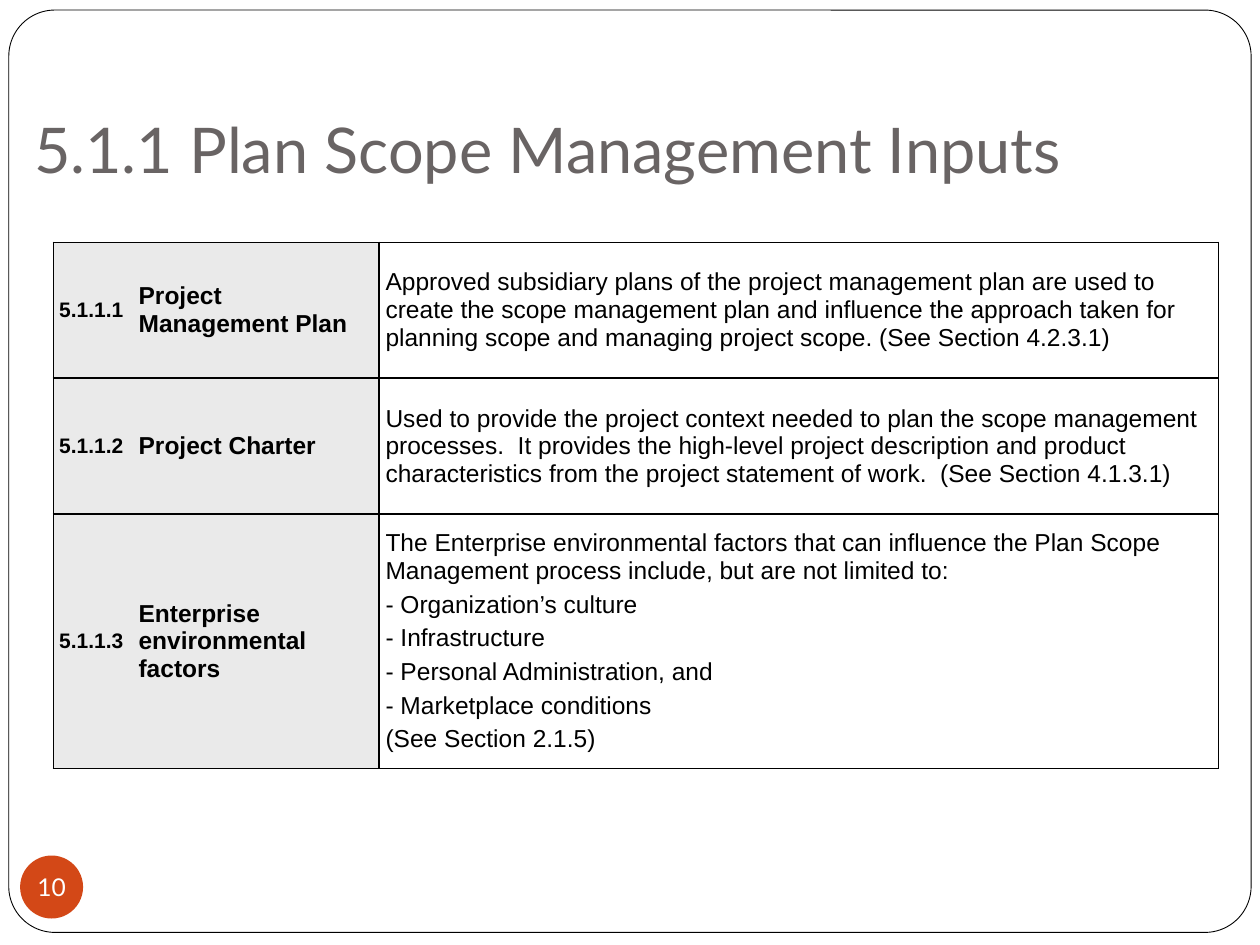
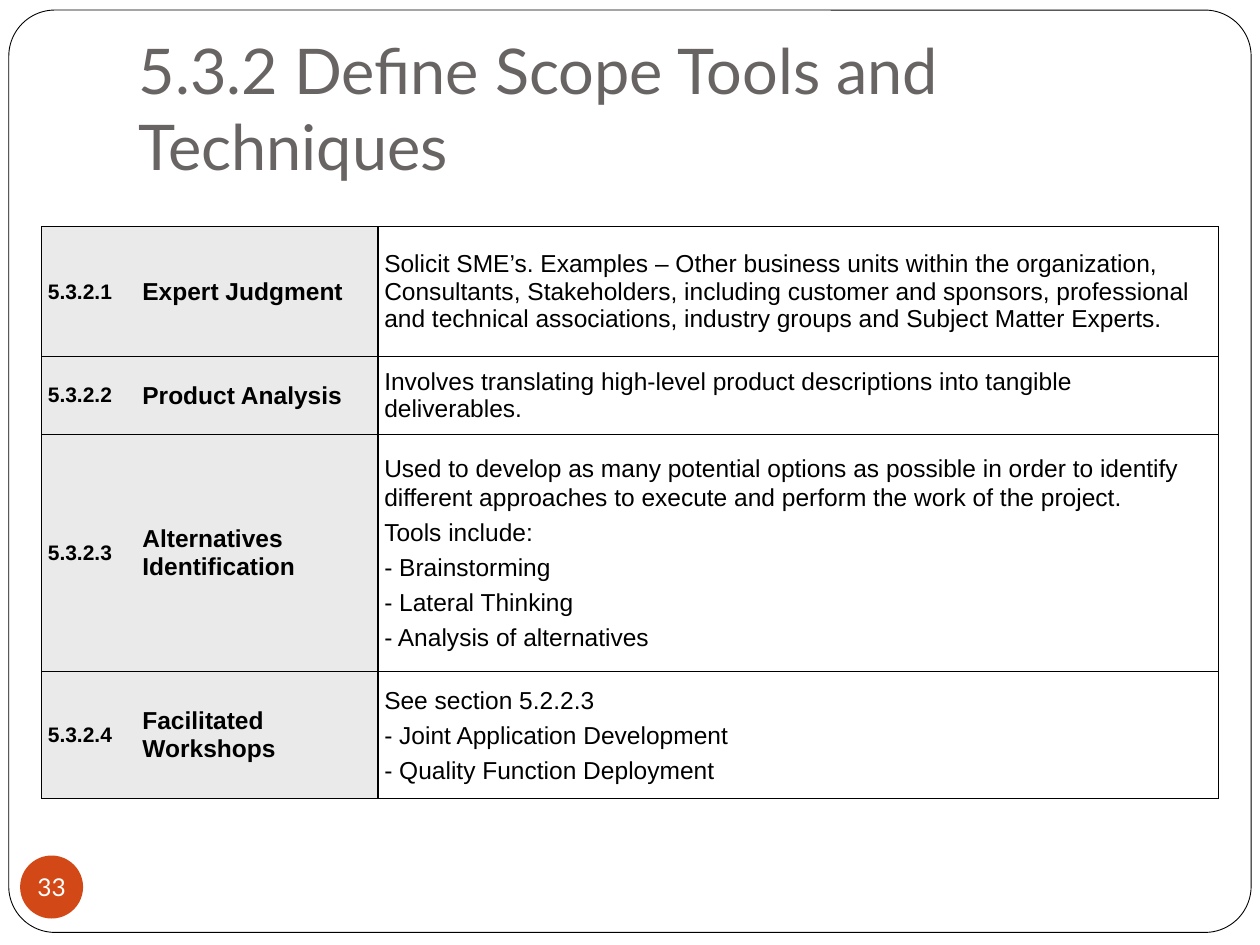
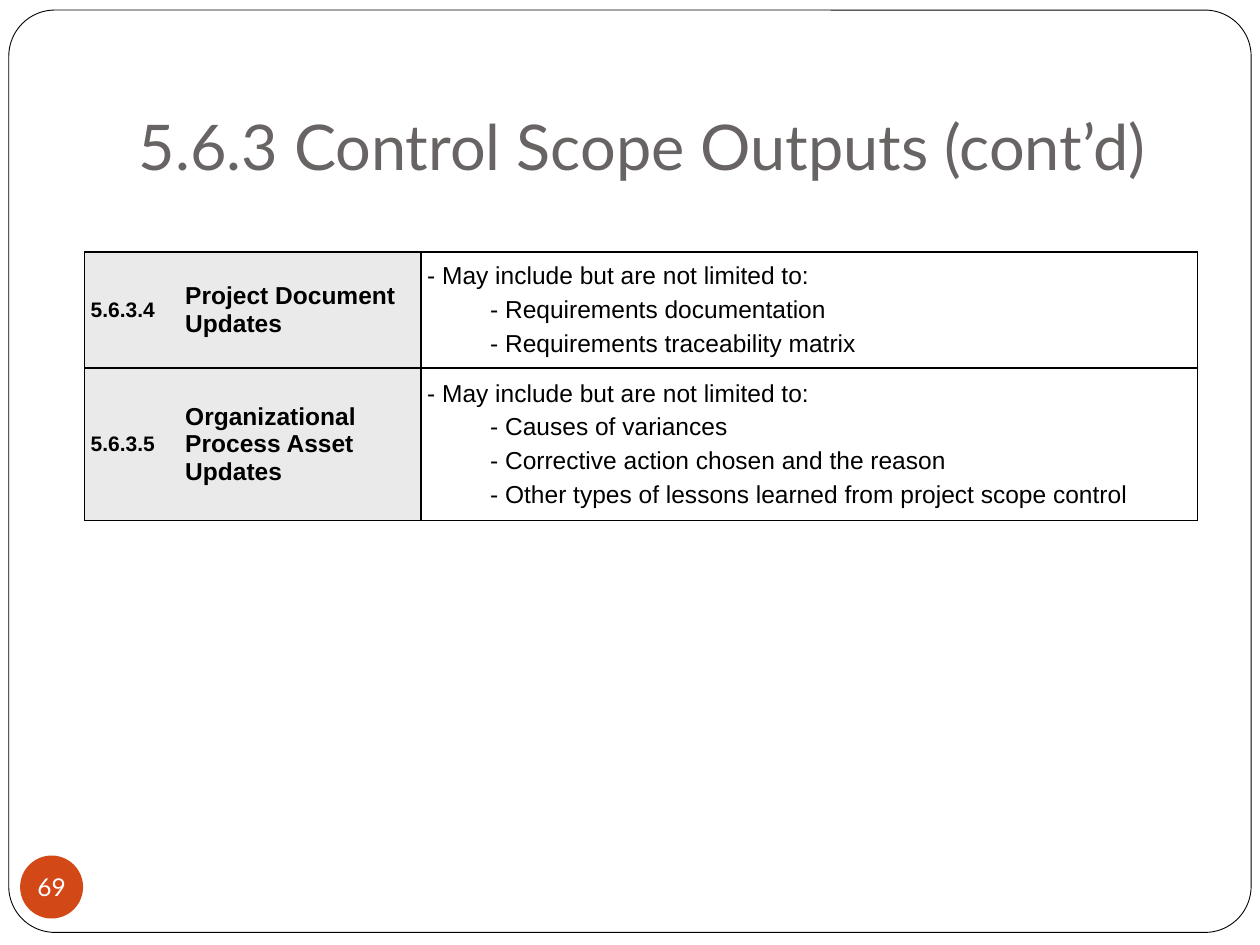
import pptx
import pptx.dml.color
import pptx.enum.shapes
import pptx.enum.text
import pptx.oxml
import pptx.oxml.ns
import pptx.util

RGBColor = pptx.dml.color.RGBColor
BLACK = RGBColor(0x00, 0x00, 0x00)
WHITE = RGBColor(0xFF, 0xFF, 0xFF)
TITLE_GREY = RGBColor(0x69, 0x64, 0x64)
LABEL_GREY = RGBColor(0xEA, 0xEA, 0xEA)
BADGE_ORANGE = RGBColor(0xD3, 0x48, 0x17)

HEAD_FONT = "Lato"
BODY_FONT = "Arial"
SLIDE_WIDTH = pptx.util.Inches(10)
SLIDE_HEIGHT = pptx.util.Inches(7.5)
GRID_COLUMNS = 100
GRID_ROWS = 75
TITLE_ONLY = 5
TITLE_AREA = (10, 3, 85, 12.5)
PLAIN_TABLE = "{2D5ABB26-0587-4C30-8999-92F81FD0307C}"
THIN, THICK = 0.5, 1

INPUTS = [
    ("5.1.1.1", "Project Management Plan", [
        "Approved subsidiary plans of the project management plan are used to create the scope "
        "management plan and influence the approach taken for planning scope and managing "
        "project scope. (See Section 4.2.3.1)"]),
    ("5.1.1.2", "Project Charter", [
        "Used to provide the project context needed to plan the scope management processes.  It "
        "provides the high-level project description and product characteristics from the "
        "project statement of work.  (See Section 4.1.3.1)"]),
    ("5.1.1.3", "Enterprise environmental factors", [
        "The Enterprise environmental factors that can influence the Plan Scope Management "
        "process include, but are not limited to:",
        "- Organization’s culture",
        "- Infrastructure",
        "- Personal Administration, and",
        "- Marketplace conditions",
        "(See Section 2.1.5)"]),
]
TOOLS = [
    ("5.3.2.1", "Expert Judgment", [
        "Solicit SME’s. Examples – Other business units within the organization, Consultants, "
        "Stakeholders, including customer and sponsors, professional and technical "
        "associations, industry groups and Subject Matter Experts."]),
    ("5.3.2.2", "Product Analysis", [
        "Involves translating high-level product descriptions into tangible deliverables."]),
    ("5.3.2.3", "Alternatives Identification", [
        "Used to develop as many potential options as possible in order to identify different "
        "approaches to execute and perform the work of the project.",
        "Tools include:",
        "- Brainstorming",
        "- Lateral Thinking",
        "- Analysis of alternatives"]),
    ("5.3.2.4", "Facilitated Workshops", [
        "See section 5.2.2.3",
        "- Joint Application Development",
        "- Quality Function Deployment"]),
]
OUTPUTS = [
    ("5.6.3.4", "Project Document Updates", [
        "- May include but are not limited to:",
        "- Requirements documentation",
        "- Requirements traceability matrix"]),
    ("5.6.3.5", "Organizational Process Asset Updates", [
        "- May include but are not limited to:",
        "- Causes of variances",
        "- Corrective action chosen and the reason",
        "- Other types of lessons learned from project scope control"]),
]


def across(columns):
    """Turn grid columns into a length."""
    return round(SLIDE_WIDTH * columns / GRID_COLUMNS)


def down(rows):
    """Turn grid rows into a length."""
    return round(SLIDE_HEIGHT * rows / GRID_ROWS)


def grid_area(left, top, width, height):
    """Turn a grid area into left, top, width and height."""
    return across(left), down(top), across(width), down(height)


def write_text(frame, lines, size, color=BLACK, font=BODY_FONT, bold=False,
               align=pptx.enum.text.PP_ALIGN.LEFT, spacing=1.0, indent=0):
    """Fill a text frame with one paragraph a line, indenting all but the first."""
    for index, line in enumerate(lines):
        para = frame.add_paragraph() if index else frame.paragraphs[0]
        para.alignment = align
        para.line_spacing = spacing
        para.space_before = pptx.util.Pt(size / 4 if index else 0)
        if index and indent:
            para.level = 1
            para._p.get_or_add_pPr().set("marL", str(across(indent)))
        span = para.add_run()
        span.text = line
        span.font.name = font
        span.font.size = pptx.util.Pt(size)
        span.font.bold = bold
        span.font.color.rgb = color


def set_margins(holder, left, top, right, bottom):
    """Set the four inner margins of a frame or cell in inches."""
    holder.margin_left = pptx.util.Inches(left)
    holder.margin_top = pptx.util.Inches(top)
    holder.margin_right = pptx.util.Inches(right)
    holder.margin_bottom = pptx.util.Inches(bottom)


def add_plain_shape(page, kind, area, fill):
    """Add a filled preset shape with no line or shadow."""
    shape = page.shapes.add_shape(kind, *grid_area(*area))
    shape.shadow.inherit = False
    shape.fill.solid()
    shape.fill.fore_color.rgb = fill
    shape.line.fill.background()
    return shape


def add_page_frame(page):
    """Put the rounded page outline behind everything else."""
    kind = pptx.enum.shapes.MSO_SHAPE.ROUNDED_RECTANGLE
    outline = add_plain_shape(page, kind, (0.7, 0.8, 98.6, 73.2), WHITE)
    outline.adjustments[0] = 0.05
    outline.line.color.rgb = BLACK
    outline.line.width = pptx.util.Pt(THIN)
    page.shapes._spTree.insert(2, outline._element)


def add_title(page, text, area):
    """Place and format the title placeholder."""
    title = page.shapes.title
    title.left, title.top, title.width, title.height = grid_area(*area)
    frame = title.text_frame
    frame.word_wrap = True
    frame.auto_size = pptx.enum.text.MSO_AUTO_SIZE.NONE
    frame.vertical_anchor = pptx.enum.text.MSO_ANCHOR.BOTTOM
    set_margins(frame, 0.1, 0.05, 0.1, 0.1)
    write_text(frame, [text], size=36, color=TITLE_GREY, font=HEAD_FONT)


def add_number_badge(page, number):
    """Add the round page number."""
    badge = add_plain_shape(page, pptx.enum.shapes.MSO_SHAPE.OVAL, (1.6, 67.9, 5, 5), BADGE_ORANGE)
    frame = badge.text_frame
    frame.word_wrap = False
    frame.vertical_anchor = pptx.enum.text.MSO_ANCHOR.MIDDLE
    set_margins(frame, 0, 0, 0, 0)
    write_text(frame, [str(number)], size=14, color=WHITE, font=HEAD_FONT,
               align=pptx.enum.text.PP_ALIGN.CENTER)


def set_borders(cell, weights):
    """Draw left, right, top and bottom cell borders; a weight of 0 hides one."""
    properties = cell._tc.get_or_add_tcPr()
    for index, (side, weight) in enumerate(zip("LRTB", weights)):
        paint = f'<a:solidFill><a:srgbClr val="{BLACK}"/></a:solidFill>' if weight else "<a:noFill/>"
        border = pptx.oxml.parse_xml(
            f'<a:ln{side} {pptx.oxml.ns.nsdecls("a")} w="{pptx.util.Pt(weight)}">{paint}</a:ln{side}>')
        properties.insert(index, border)


def add_topic_table(page, topics, corner, columns, rows, top=THIN, bottom=THIN,
                    spacings=None, indent=0):
    """Add a table of numbered topics with grey labels and descriptions."""
    area = grid_area(*corner, sum(columns), sum(rows))
    table = page.shapes.add_table(len(rows), len(columns), *area).table
    table.first_row = table.horz_banding = False
    table._tbl.tblPr.find(pptx.oxml.ns.qn("a:tableStyleId")).text = PLAIN_TABLE
    for column, width in zip(table.columns, columns):
        column.width = across(width)
    verticals = [THIN, 0, THICK, THIN]
    horizontals = [top] + [THICK] * (len(rows) - 1) + [bottom]
    for row_index, (number, name, details) in enumerate(topics):
        table.rows[row_index].height = down(rows[row_index])
        spacing = spacings[row_index] if spacings else 1.0
        contents = [
            ([number], {"size": 12, "bold": True}),
            ([name], {"size": 14, "bold": True}),
            (details, {"size": 14, "spacing": spacing, "indent": indent}),
        ]
        for column_index, (lines, style) in enumerate(contents):
            cell = table.cell(row_index, column_index)
            cell.vertical_anchor = pptx.enum.text.MSO_ANCHOR.MIDDLE
            set_margins(cell, 0.05, 0.05, 0.05, 0.05)
            if column_index < 2:
                cell.fill.solid()
                cell.fill.fore_color.rgb = LABEL_GREY
            else:
                cell.fill.background()
            set_borders(cell, verticals[column_index:column_index + 2]
                        + horizontals[row_index:row_index + 2])
            write_text(cell.text_frame, lines, **style)


def add_page(deck, title, number, title_area=TITLE_AREA):
    """Add a page with its frame, title and number."""
    page = deck.slides.add_slide(deck.slide_layouts[TITLE_ONLY])
    add_page_frame(page)
    add_title(page, title, title_area)
    add_number_badge(page, number)
    return page


def main():
    """Build the three scope management pages."""
    deck = pptx.Presentation()
    deck.slide_width, deck.slide_height = SLIDE_WIDTH, SLIDE_HEIGHT

    page = add_page(deck, "5.1.1 Plan Scope Management Inputs", 10, (1.7, 10.8, 95, 5))
    add_topic_table(page, INPUTS, (4.2, 19.2), (6.3, 19.6, 66.6), (10.8, 10.8, 20.2),
                    bottom=THICK)

    page = add_page(deck, "5.3.2 Define Scope Tools and Techniques", 33)
    add_topic_table(page, TOOLS, (3.3, 18), (7.5, 19.2, 66.7), (10.3, 6.2, 18.8, 10.1),
                    spacings=(1, 1, 1.05, 1.05))

    page = add_page(deck, "5.6.3 Control Scope Outputs (cont’d)", 69)
    add_topic_table(page, OUTPUTS, (6.7, 20), (7.5, 19.2, 61.6), (9.2, 12.1),
                    top=THICK, indent=5)

    deck.save("out.pptx")


if __name__ == "__main__":
    main()
